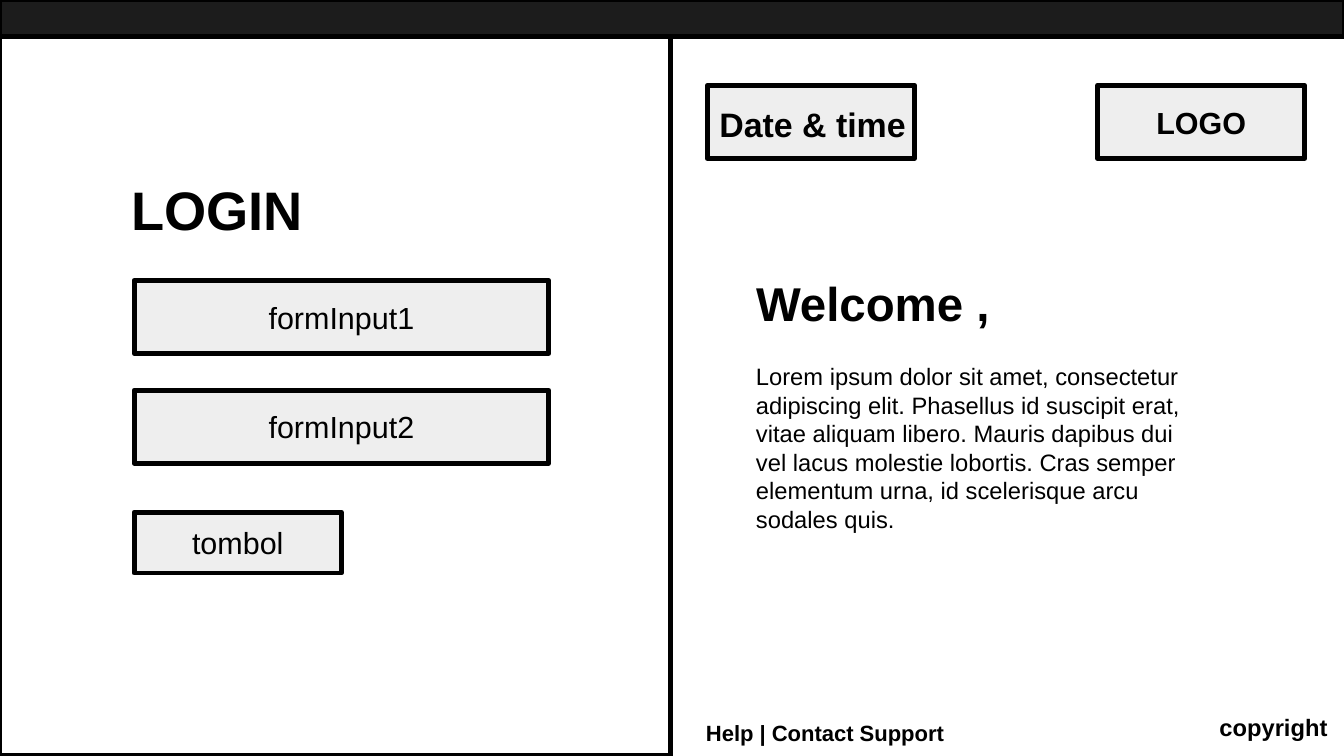
import pptx
import pptx.dml.color
import pptx.enum.shapes
import pptx.enum.text
import pptx.util

Inches = pptx.util.Inches
RGBColor = pptx.dml.color.RGBColor
Align = pptx.enum.text.PP_ALIGN
Anchor = pptx.enum.text.MSO_ANCHOR

BLACK = RGBColor(0x00, 0x00, 0x00)
CHARCOAL = RGBColor(0x1C, 0x1C, 0x1C)
GRAY = RGBColor(0xEE, 0xEE, 0xEE)
WHITE = RGBColor(0xFF, 0xFF, 0xFF)

WIDTH, HEIGHT = 11.02, 6.2
BAR_HEIGHT = 0.3
LOGIN_WIDTH = 5.5

FRAME = {
    "margin_left": Inches(0.1),
    "margin_right": Inches(0.1),
    "margin_top": Inches(0.05),
    "margin_bottom": Inches(0.05),
    "auto_size": pptx.enum.text.MSO_AUTO_SIZE.NONE,
}
LOREM = (
    "Lorem ipsum dolor sit amet, consectetur adipiscing elit. "
    "Phasellus id suscipit erat, vitae aliquam libero. "
    "Mauris dapibus dui vel lacus molestie lobortis. "
    "Cras semper elementum urna, id scelerisque arcu sodales quis."
)


def set_attributes(target, values):
    for name, value in values.items():
        setattr(target, name, value)


def write_text(sp, text, size, bold=False, align=Align.LEFT,
               anchor=Anchor.TOP, wrap=True):
    tf = sp.text_frame
    set_attributes(tf, {**FRAME, "vertical_anchor": anchor, "word_wrap": wrap})
    p = tf.paragraphs[0]
    p.alignment = align
    r = p.add_run()
    r.text = text
    set_attributes(r.font, {"name": "Arial", "size": pptx.util.Pt(size),
                            "bold": bold})
    r.font.color.rgb = BLACK


def add_label(s, box, text, size, bold=False):
    sp = s.shapes.add_textbox(*map(Inches, box))
    write_text(sp, text, size, bold)


def add_box(s, box, fill=GRAY, text="", bold=False):
    """Add an outlined rectangle, with centred text if any is given."""
    sp = s.shapes.add_shape(pptx.enum.shapes.MSO_SHAPE.RECTANGLE,
                            *map(Inches, box))
    sp.shadow.inherit = False
    sp.fill.solid()
    sp.fill.fore_color.rgb = fill
    sp.line.color.rgb = BLACK
    sp.line.width = pptx.util.Pt(2.89)
    if text:
        write_text(sp, text, 18, bold, Align.CENTER, Anchor.MIDDLE, False)


def add_login_panel(s, left, top, width, height):
    add_box(s, (left, top, width, height), WHITE)
    add_label(s, (left + 0.98, top + 1.1, 2.2, 0.6), "LOGIN", 32, True)
    controls = (
        ("formInput1", 2.0, 3.4, 0.6),
        ("formInput2", 2.9, 3.4, 0.6),
        ("tombol", 3.9, 1.7, 0.5),
    )
    for text, y, w, h in controls:
        add_box(s, (left + 1.1, top + y, w, h), text=text)


def add_welcome_panel(s, left, top, width, height):
    right, bottom = left + width, top + height
    box_top = top + 0.4
    add_box(s, (left + 0.3, box_top, 1.7, 0.6))
    add_label(s, (left + 0.3, box_top + 0.1, 2, 0.5), "Date & time", 20, True)
    add_box(s, (right - 2.02, box_top, 1.7, 0.6), text="LOGO", bold=True)

    title = s.shapes.title
    place = (left + 0.6, top + 1.9, 2.2, 0.53)
    set_attributes(title, dict(zip(("left", "top", "width", "height"),
                                   map(Inches, place))))
    write_text(title, "Welcome ,", 28, True)
    add_label(s, (left + 0.6, top + 2.62, 3.9, 1.41), LOREM, 14)

    add_label(s, (left + 0.19, bottom - 0.35, 2.9, 0.35),
              "Help | Contact Support", 13, True)
    add_label(s, (right - 1.12, bottom - 0.4, 1.1, 0.32),
              "copyright", 14, True)


def main():
    prs = pptx.Presentation()
    prs.slide_width, prs.slide_height = Inches(WIDTH), Inches(HEIGHT)
    s = prs.slides.add_slide(prs.slide_layouts.get_by_name("Title Only"))
    body_height = HEIGHT - BAR_HEIGHT
    add_box(s, (0, 0, WIDTH, BAR_HEIGHT), CHARCOAL)
    add_login_panel(s, 0, BAR_HEIGHT, LOGIN_WIDTH, body_height)
    add_welcome_panel(s, LOGIN_WIDTH, BAR_HEIGHT, WIDTH - LOGIN_WIDTH,
                      body_height)
    prs.save("out.pptx")


if __name__ == "__main__":
    main()
